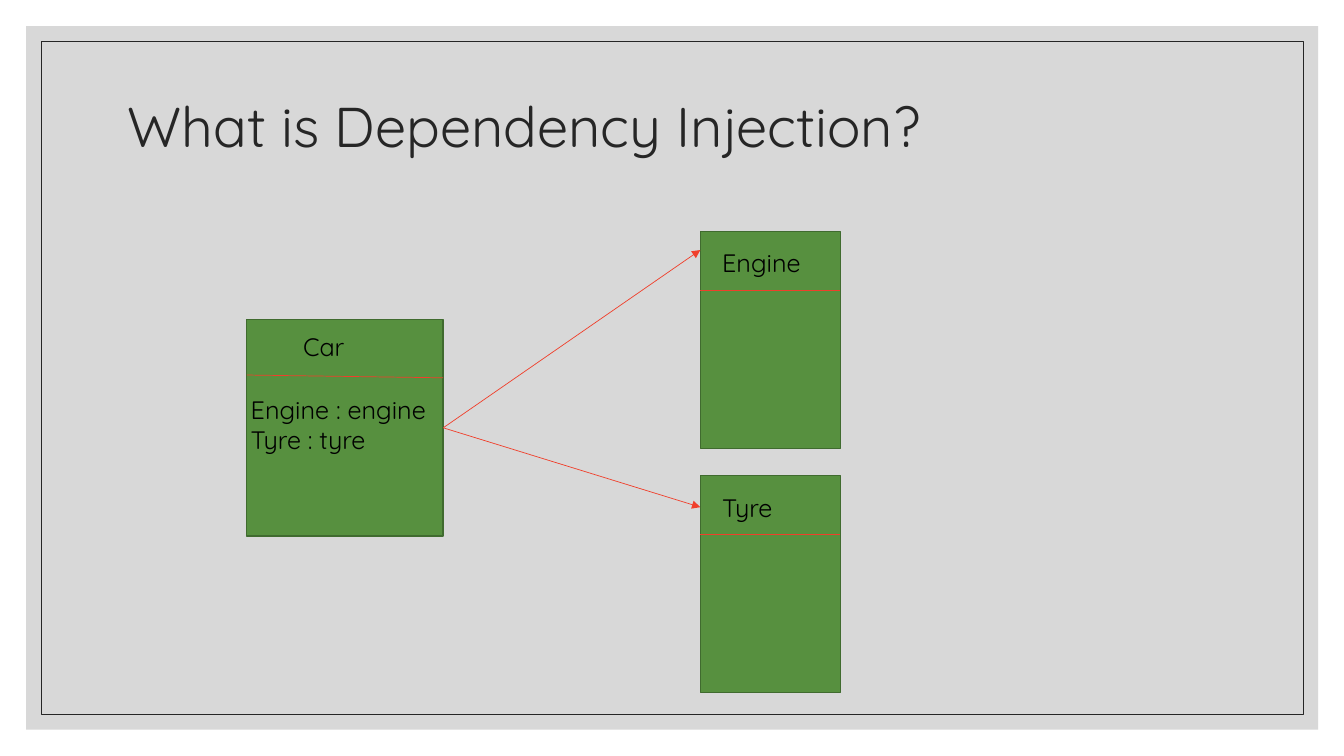
from lxml.etree import SubElement
from pptx import Presentation
from pptx.dml.color import RGBColor
from pptx.enum.shapes import MSO_CONNECTOR, MSO_SHAPE
from pptx.enum.text import MSO_ANCHOR
from pptx.oxml.ns import qn
from pptx.util import Cm, Pt

COLORS = {
    "panel": "BFBFBF",
    "ink": "262626",
    "black": "000000",
    "green": "57903F",
    "edge": "406B2F",
    "red": "F03F2B",
}
FONT = "Quicksand"
CLASS_H = 5.46
HEADER_H = 1.47


def color(name):
    return RGBColor.from_string(COLORS[name])


def add_rect(s, x, y, w, h, fill=None, line=None, width=1, alpha=None):
    sp = s.shapes.add_shape(MSO_SHAPE.RECTANGLE, Cm(x), Cm(y), Cm(w), Cm(h))
    sp.shadow.inherit = False
    if fill:
        sp.fill.solid()
        sp.fill.fore_color.rgb = color(fill)
    else:
        sp.fill.background()
    if alpha:
        clr = sp.fill._xPr.find(".//" + qn("a:srgbClr"))
        SubElement(clr, qn("a:alpha"), val=str(alpha * 1000))
    if line:
        sp.line.color.rgb = color(line)
        sp.line.width = Pt(width)
    else:
        sp.line.fill.background()
    return sp


def add_text(s, text, x, y, w, h, size=18, ink="black",
             anchor=MSO_ANCHOR.TOP, spacing=None):
    tf = s.shapes.add_textbox(Cm(x), Cm(y), Cm(w), Cm(h)).text_frame
    tf.word_wrap = True
    tf.vertical_anchor = anchor
    for i, line in enumerate(text.split("\n")):
        p = tf.add_paragraph() if i else tf.paragraphs[0]
        p.line_spacing = spacing
        r = p.add_run()
        r.text = line
        r.font.name = FONT
        r.font.size = Pt(size)
        r.font.color.rgb = color(ink)


def add_line(s, x1, y1, x2, y2, arrow=False):
    ln = s.shapes.add_connector(
        MSO_CONNECTOR.STRAIGHT, Cm(x1), Cm(y1), Cm(x2), Cm(y2))
    ln.line.color.rgb = color("red")
    ln.line.width = Pt(0.5)
    if arrow:
        SubElement(ln.line._get_or_add_ln(), qn("a:tailEnd"), type="triangle")
    SubElement(ln._element.spPr, qn("a:effectLst"))
    return ln


def add_class(s, name, x, y, w, name_dx=0.3, name_dy=0.28, slant=0):
    sp = add_rect(s, x, y, w, CLASS_H, fill="green", line="edge")
    add_line(s, x, y + HEADER_H - slant, x + w, y + HEADER_H)
    add_text(s, name, x + name_dx, y + name_dy, 2.92, 1.02)
    return sp


def main():
    prs = Presentation()
    prs.slide_width, prs.slide_height = Cm(33.87), Cm(19.05)
    s = prs.slides.add_slide(prs.slide_layouts[6])

    add_rect(s, 0.66, 0.66, 32.56, 17.73, fill="panel", alpha=60)
    add_rect(s, 1.04, 1.04, 31.8, 16.97, line="ink", width=0.5)
    add_text(s, "What is Dependency Injection?", 2.97, 1.78, 26.87, 2.95,
             size=40, ink="ink", anchor=MSO_ANCHOR.MIDDLE, spacing=0.9)

    car = add_class(s, "Car", 6.22, 8.05, 4.95,
                    name_dx=1.17, name_dy=0.18, slant=0.07)
    add_text(s, "Engine : engine\nTyre : tyre", 6.07, 9.8, 5.92, 1.8)

    part_x = 17.65
    for name, y, arrow_y in (("Engine", 5.84, 6.3), ("Tyre", 11.99, 12.78)):
        add_class(s, name, part_x, y, 3.53)
        arrow = add_line(s, 11.17, 10.78, part_x, arrow_y, arrow=True)
        arrow.begin_connect(car, 3)

    prs.save("out.pptx")


if __name__ == "__main__":
    main()
